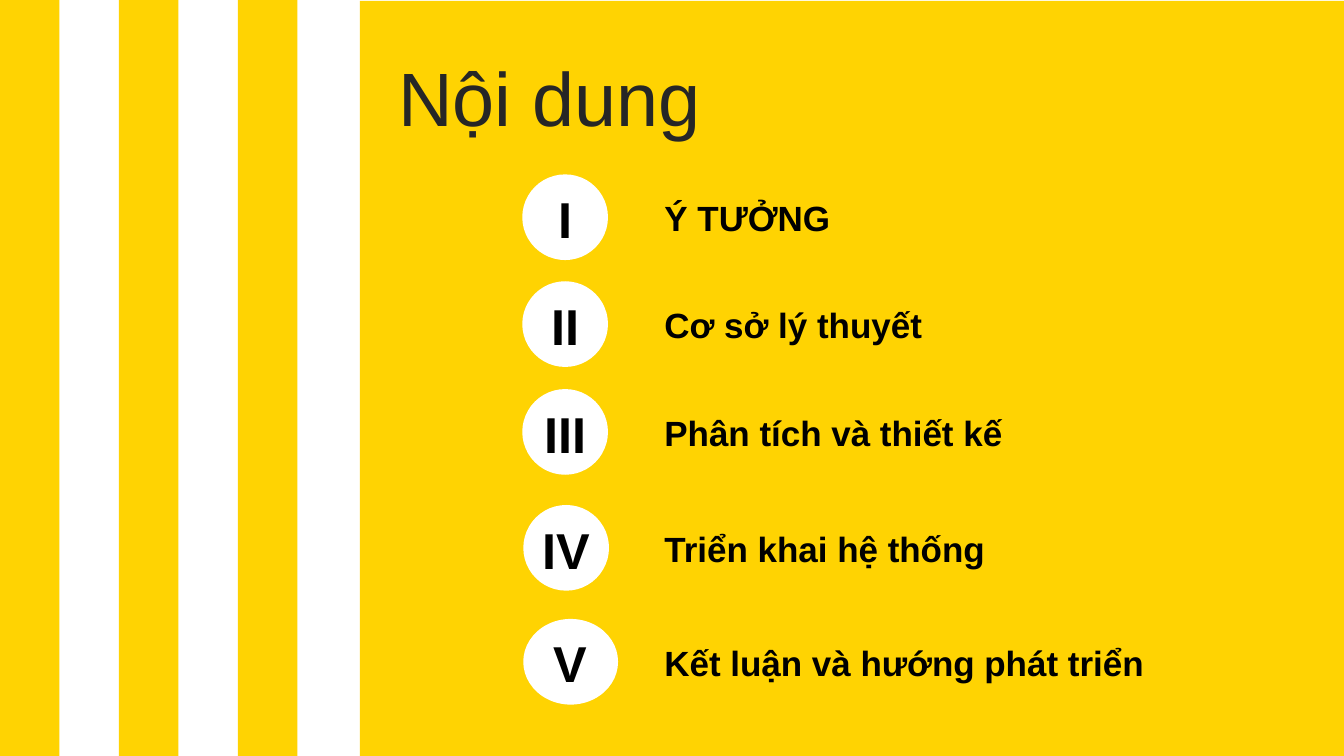
from pptx import Presentation
from pptx.dml.color import RGBColor
from pptx.enum.shapes import MSO_SHAPE
from pptx.enum.text import MSO_ANCHOR, MSO_AUTO_SIZE, PP_ALIGN
from pptx.util import Pt

PX = 9144  # 100 px to the inch
RECTANGLE, OVAL = MSO_SHAPE.RECTANGLE, MSO_SHAPE.OVAL
MIDDLE = MSO_ANCHOR.MIDDLE
GROW = MSO_AUTO_SIZE.SHAPE_TO_FIT_TEXT
LEFT, CENTER = PP_ALIGN.LEFT, PP_ALIGN.CENTER

YELLOW = RGBColor(0xFF, 0xD3, 0x02)
WHITE = RGBColor(0xFF, 0xFF, 0xFF)
BLACK = RGBColor(0x00, 0x00, 0x00)
CHARCOAL = RGBColor(0x26, 0x26, 0x26)

SLIDE_W, SLIDE_H = 1333, 750


def add_block(shapes, preset, x, y, w, h, color):
    block = shapes.add_shape(preset, x * PX, y * PX, w * PX, h * PX)
    block.shadow.inherit = False
    block.fill.solid()
    block.fill.fore_color.rgb = color
    block.line.fill.background()


def add_text(shapes, text, x, y, w, h, size, color, bold, align, side_inset):
    frame = shapes.add_textbox(x * PX, y * PX, w * PX, h * PX).text_frame
    frame.word_wrap = True
    frame.auto_size = GROW
    frame.vertical_anchor = MIDDLE
    frame.margin_left = frame.margin_right = side_inset * PX
    frame.margin_top = frame.margin_bottom = 5 * PX
    paragraph = frame.paragraphs[0]
    paragraph.text = text
    paragraph.alignment = align
    font = paragraph.runs[0].font
    font.name = "Arial"
    font.size = Pt(size)
    font.bold = bold
    font.color.rgb = color


prs = Presentation()
prs.slide_width = SLIDE_W * PX
prs.slide_height = SLIDE_H * PX
slide = prs.slides.add_slide(prs.slide_layouts[6])
slide.background.fill.solid()
slide.background.fill.fore_color.rgb = WHITE

# Stripes on the left, each followed by a gap of the same width
STRIPE_W = 59
for stripe in range(3):
    add_block(slide.shapes, RECTANGLE, stripe * 2 * STRIPE_W, 0, STRIPE_W, SLIDE_H, YELLOW)

# Main panel and title
PANEL_X, PANEL_Y = 357, 1
add_block(slide.shapes, RECTANGLE, PANEL_X, PANEL_Y, SLIDE_W - PANEL_X, SLIDE_H - PANEL_Y, YELLOW)
add_text(slide.shapes, "Nội dung", 385, 45, 874, 101, 54, CHARCOAL, False, LEFT, 10)

# Agenda: numeral, heading, circle left, circle top, circle width, heading width
agenda = [
    ("I", "Ý TƯỞNG", 518, 173, 85, 493),
    ("II", "Cơ sở lý thuyết", 518, 279, 85, 493),
    ("III", "Phân tích và thiết kế", 518, 386, 85, 493),
    ("IV", "Triển khai hệ thống", 519, 501, 85, 493),
    ("V", "Kết luận và hướng phát triển", 519, 614, 94, 543),
]
HEADING_X, CIRCLE_H, OVERHANG = 647, 85, 10
for numeral, heading, x, y, circle_w, heading_w in agenda:
    item = slide.shapes.add_group_shape().shapes
    add_text(item, heading, HEADING_X, y + 17, heading_w, 52, 25, BLACK, True, LEFT, 12)
    add_block(item, OVAL, x, y, circle_w, CIRCLE_H, WHITE)
    add_text(item, numeral, x - OVERHANG, y + 8, circle_w + 2 * OVERHANG, 71,
             36, BLACK, True, CENTER, 12)

prs.save("out.pptx")
